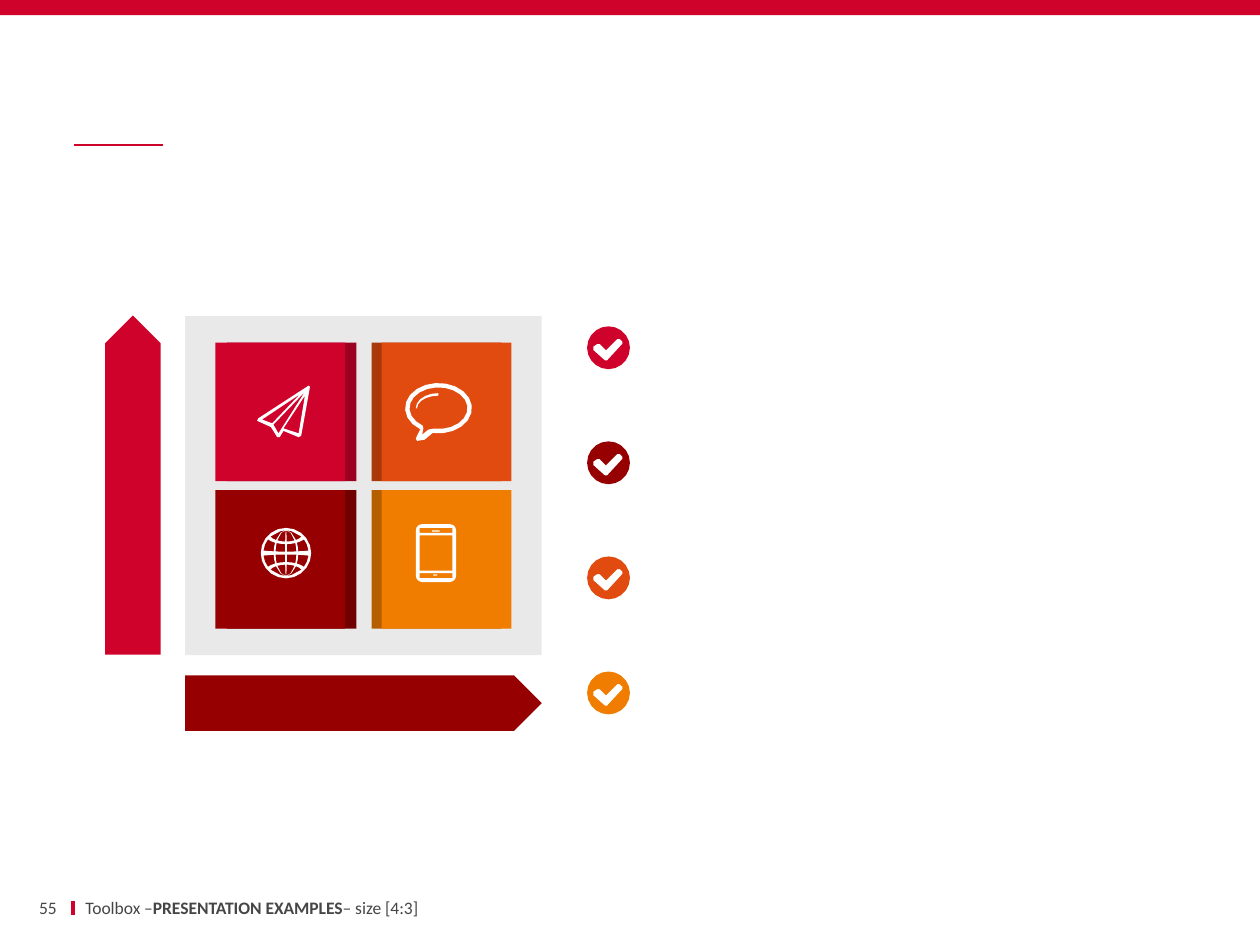
from dataclasses import dataclass
from math import cos, pi, radians, sin

from lxml import etree
from pptx import Presentation
from pptx.dml.color import RGBColor
from pptx.enum import shapes as sh, text as tx
from pptx.oxml import ns
from pptx.util import Inches, Pt


@dataclass(frozen=True)
class Theme:
    red: str = "CF022B"
    wine: str = "960000"
    rust: str = "E14B0F"
    gold: str = "F07D00"
    red_dim: str = "9B0120"
    wine_dim: str = "700000"
    rust_dim: str = "A9380B"
    gold_dim: str = "B45E00"
    panel: str = "E9E9E9"
    white: str = "FFFFFF"
    ink: str = "464646"
    font: str = "Calibri"
    size: int = 10


def arc(x, y, rx, ry, start=0, stop=360, step=18):
    """Points along an ellipse; angles in degrees, clockwise from the right."""
    count = round(abs(stop - start) / step)
    turns = [radians(start + (stop - start) * i / count) for i in range(count + 1)]
    return [(x + rx * cos(t), y + ry * sin(t)) for t in turns]


def box(left, top, right, low):
    return [(left, top), (right, top), (right, low), (left, low)]


def pane(left, top, right, low, rad):
    """Outline of a rectangle with round corners."""
    spots = [(right - rad, low - rad), (left + rad, low - rad),
             (left + rad, top + rad), (right - rad, top + rad)]
    return [p for i, (x, y) in enumerate(spots)
            for p in arc(x, y, rad, rad, 90 * i, 90 * i + 90, 30)]


def tick(x, y):
    """A disc with a check mark cut out."""
    mark = [(.11, -.05), (.09, -.07), (.07, -.07), (-.02, .02), (-.07, -.03),
            (-.09, -.03), (-.12, -.01), (-.12, .02), (-.03, .1), (-.01, .1),
            (.11, -.03)]
    return [arc(x, y, .17, .17), [(x + a, y + b) for a, b in mark]]


def plane():
    return [
        [(2.45, 3.06), (2.05, 3.32), (2.04, 3.34), (2.15, 3.39), (2.2, 3.47),
         (2.22, 3.47), (2.25, 3.42), (2.37, 3.47), (2.39, 3.46), (2.46, 3.07)],
        [(2.08, 3.33), (2.38, 3.13), (2.16, 3.36)],
        [(2.17, 3.37), (2.42, 3.11), (2.21, 3.44)],
        [(2.37, 3.44), (2.25, 3.4), (2.42, 3.14)],
    ]


def globe(x, y, rad=.2, rim=.02, gap=.04):
    """A disc with one hole for each cell between meridians and parallels."""
    def spot(u, v):
        turn = pi / 2 * (v + .8 * u * u * v * (1 - abs(v)))
        return x + (rad - rim) * u * cos(turn), y + (rad - rim) * sin(turn)

    def spans(cuts):
        trim = [(a + gap, b - gap) for a, b in zip(cuts, cuts[1:])]
        trim[0] = (cuts[0], trim[0][1])
        trim[-1] = (trim[-1][0], cuts[-1])
        return trim

    holes = []
    for left, right in spans((-1, -.5, 0, .5, 1)):
        for top, low in spans((-1, -.3, 0, .3, 1)):
            ring = box(left, top, right, low)
            holes.append([spot(*p) for (a, b), (c, d) in zip(ring, ring[1:] + ring[:1])
                          for p in ((a, b), ((a + c) / 2, (b + d) / 2))])
    return [arc(x, y, rad, rad)] + holes


def bubble(x, y):
    return [
        arc(x, y, .265, .2, 123, 460) + [(3.37, 3.49), (3.31, 3.5), (3.3, 3.48)],
        arc(x, y, .23, .165, 123, 460) + [(3.4, 3.41), (3.35, 3.45), (3.36, 3.4)],
    ]


def shine(x, y):
    return [arc(x, y, .18, .12, 180, 270) + arc(x, y, .17, .1, 270, 180)]


def phone():
    return [
        pane(3.3, 4.16, 3.62, 4.62, .05),
        box(3.33, 4.19, 3.59, 4.23),
        box(3.33, 4.25, 3.59, 4.53),
        box(3.33, 4.55, 3.59, 4.59),
        box(3.43, 4.21, 3.49, 4.22),
        box(3.44, 4.56, 3.47, 4.57),
    ]


class Deck:
    def __init__(self, theme):
        self.theme = theme
        self.prs = Presentation()
        self.prs.slide_width, self.prs.slide_height = Inches(10), Inches(7.5)
        self.slide = self.prs.slides.add_slide(self.prs.slide_layouts[6])

    def paint(self, shape, color):
        shape.shadow.inherit = False
        shape.fill.solid()
        shape.fill.fore_color.rgb = RGBColor.from_string(color)
        shape.line.fill.background()

    def block(self, area, color, kind="RECTANGLE", turn=0, home=None):
        home = home or self.slide
        form = home.shapes.add_shape(sh.MSO_SHAPE[kind], *map(Inches, area))
        form.rotation = turn
        self.paint(form, color)

    def group(self):
        return self.slide.shapes.add_group_shape()

    def free(self, rings, color, home=None):
        """Fill closed outlines as one shape; inner outlines become holes."""
        home = home or self.slide
        rings = [[(Inches(x), Inches(y)) for x, y in ring] for ring in rings]
        pen = home.shapes.build_freeform(*rings[0][0])
        for i, ring in enumerate(rings):
            if i:
                pen.move_to(*ring[0])
            pen.add_line_segments(ring[1:], close=True)
        self.paint(pen.convert_to_shape(), color)

    def rule(self, start, stop, width):
        line = self.slide.shapes.add_connector(
            sh.MSO_CONNECTOR.STRAIGHT, *map(Inches, start + stop))
        line.line.color.rgb = RGBColor.from_string(self.theme.red)
        line.line.width = Pt(width)
        etree.SubElement(line._element.spPr, ns.qn("a:effectLst"))

    def label(self, area, runs, inset, align="LEFT"):
        frame = self.slide.shapes.add_textbox(*map(Inches, area)).text_frame
        form = dict(word_wrap=True, vertical_anchor=tx.MSO_ANCHOR.MIDDLE,
                    margin_left=Inches(inset), margin_right=Inches(inset),
                    margin_top=Inches(.05), margin_bottom=Inches(.05))
        for key, value in form.items():
            setattr(frame, key, value)
        para = frame.paragraphs[0]
        para.alignment = tx.PP_ALIGN[align]
        for words, bold in runs:
            run = para.add_run()
            run.text = words
            look = dict(name=self.theme.font, size=Pt(self.theme.size), bold=bold)
            for key, value in look.items():
                setattr(run.font, key, value)
            run.font.color.rgb = RGBColor.from_string(self.theme.ink)


def main():
    hue = Theme()
    deck = Deck(hue)
    deck.rule((.58, 7.15), (.58, 7.26), 2.25)
    deck.rule((.59, 1.15), (1.29, 1.15), 1)
    deck.block((0, 0, 10, .12), hue.red)
    deck.block((1.47, 2.51, 2.83, 2.69), hue.panel)

    tiles = [(1.8, 1.71, 2.72, hue.red_dim, hue.red),
             (1.8, 1.71, 3.89, hue.wine_dim, hue.wine),
             (2.95, 3.03, 2.72, hue.rust_dim, hue.rust),
             (2.95, 3.03, 3.89, hue.gold_dim, hue.gold)]
    for back, front, top, dim, color in tiles:
        pair = deck.group()
        deck.block((back, top, 1.03, 1.1), dim, home=pair)
        deck.block((front, top, 1.03, 1.1), color, home=pair)

    deck.block((1.47, 5.36, 2.83, .44), hue.wine, "PENTAGON")
    deck.block((-.29, 3.63, 2.69, .44), hue.red, "PENTAGON", 270)

    for i, color in enumerate((hue.red, hue.wine, hue.rust, hue.gold)):
        deck.free(tick(4.83, 2.76 + i * 2.74 / 3), color)

    deck.free(plane(), hue.white)
    deck.free(globe(2.27, 4.39), hue.white)
    chat = deck.group()
    deck.free(shine(3.48, 3.24), hue.white, chat)
    deck.free(bubble(3.48, 3.24), hue.white, chat)
    deck.free(phone(), hue.white)

    deck.label((.13, 7.11, .32, .18), [("55", False)], 0, "RIGHT")
    deck.label((.58, 7.11, 4.97, .18),
               [("Toolbox –", False), ("PRESENTATION EXAMPLES", True),
                ("– size [4:3]", False)], .1)
    deck.prs.save("out.pptx")


if __name__ == "__main__":
    main()
